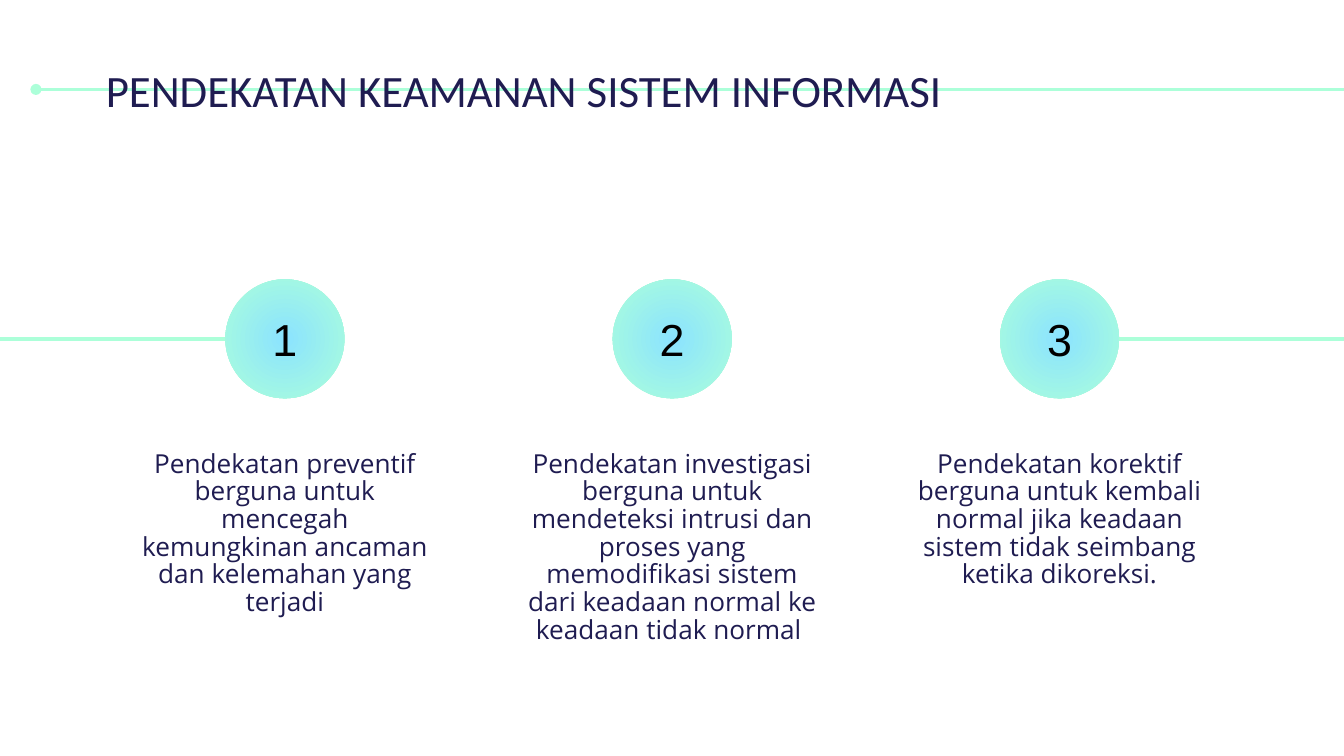
from dataclasses import dataclass

from lxml import etree
from pptx import Presentation
from pptx.dml.color import RGBColor
from pptx.enum.shapes import MSO_CONNECTOR, MSO_SHAPE
from pptx.enum.text import MSO_ANCHOR, MSO_AUTO_SIZE, PP_ALIGN
from pptx.oxml.ns import qn
from pptx.util import Cm, Pt

LEFT, CENTER = PP_ALIGN.LEFT, PP_ALIGN.CENTER
TOP, MIDDLE = MSO_ANCHOR.TOP, MSO_ANCHOR.MIDDLE
NO_AUTOFIT = MSO_AUTO_SIZE.NONE
STRAIGHT = MSO_CONNECTOR.STRAIGHT
ELLIPSE = MSO_SHAPE.OVAL
COMPARISON_LAYOUT = 4


@dataclass(frozen=True)
class Theme:
    ink: RGBColor = RGBColor(0x1F, 0x1C, 0x51)
    number: RGBColor = RGBColor(0, 0, 0)
    mint: RGBColor = RGBColor(0xAC, 0xFF, 0xD9)
    sky: RGBColor = RGBColor(0x8B, 0xE3, 0xFF)
    title_font: str = "Calibri"
    body_font: str = "Open Sans"
    number_font: str = "Arial"
    title_size: int = 24
    body_size: int = 14
    number_size: int = 24


THEME = Theme()
SLIDE_WIDTH, SLIDE_HEIGHT = 25.4, 14.29

TITLE = "PENDEKATAN KEAMANAN SISTEM INFORMASI"
STEPS = [
    "Pendekatan preventif berguna untuk mencegah kemungkinan ancaman "
    "dan kelemahan yang terjadi",
    "Pendekatan investigasi berguna untuk mendeteksi intrusi dan proses yang "
    "memodifikasi sistem dari keadaan normal ke keadaan tidak normal ",
    "Pendekatan korektif berguna untuk kembali normal jika keadaan sistem "
    "tidak seimbang ketika dikoreksi.",
]

# Step columns, in centimetres
STEP_LEFT, STEP_TOP, STEP_WIDTH, STEP_PITCH = 2.31, 5.28, 6.15, 7.32
CIRCLE = 2.25
TEXT_OFFSET, TEXT_HEIGHT = 3.0, 3.2


def place(shape, left, top, width, height):
    shape.left, shape.top = Cm(left), Cm(top)
    shape.width, shape.height = Cm(width), Cm(height)


def write(shape, text, font, size, color, alignment, anchor):
    frame = shape.text_frame
    frame.text = text
    frame.word_wrap = True
    frame.auto_size = NO_AUTOFIT
    frame.vertical_anchor = anchor
    frame.margin_left = frame.margin_right = Cm(0.25)
    frame.margin_top = frame.margin_bottom = Cm(0.25)
    paragraph = frame.paragraphs[0]
    paragraph.alignment = alignment
    paragraph.space_before = Pt(0)
    run_font = paragraph.runs[0].font
    run_font.name, run_font.size, run_font.bold = font, Pt(size), False
    run_font.color.rgb = color
    return paragraph


def add_line(slide, start, end, y, weight):
    line = slide.shapes.add_connector(STRAIGHT, Cm(start), Cm(y), Cm(end), Cm(y))
    line.line.color.rgb = THEME.mint
    line.line.width = Pt(weight)
    etree.SubElement(line.element.spPr, qn("a:effectLst"))
    return line


def add_title(slide, left, top, width, height):
    # Rule with a round start, kept behind the title
    rule = add_line(slide, left - 1.07, SLIDE_WIDTH, top + height / 2, 1.5)
    etree.SubElement(rule.line._get_or_add_ln(), qn("a:headEnd"), type="oval")
    slide.shapes.element.insert(2, rule.element)

    title = slide.shapes.title
    place(title, left, top, width, height)
    write(title, TITLE, THEME.title_font, THEME.title_size, THEME.ink, LEFT, TOP)


def fill_radial(shape, inner, outer):
    shape.fill.gradient()
    for stop, color in zip(shape.fill.gradient_stops, (inner, outer)):
        stop.color.rgb = color
    gradient = shape.element.spPr.find(qn("a:gradFill"))
    gradient.remove(gradient.find(qn("a:lin")))
    radial = etree.SubElement(gradient, qn("a:path"), path="circle")
    etree.SubElement(radial, qn("a:fillToRect"),
                     l="50000", t="50000", r="50000", b="50000")


def add_step(slide, number, text, left, top, width):
    # Numbered circle
    circle = slide.shapes.add_shape(ELLIPSE, 0, 0, 0, 0)
    place(circle, left + (width - CIRCLE) / 2, top, CIRCLE, CIRCLE)
    circle.shadow.inherit = False
    circle.line.fill.background()
    fill_radial(circle, THEME.sky, THEME.mint)
    write(circle, str(number), THEME.number_font, THEME.number_size,
          THEME.number, CENTER, MIDDLE)

    # Description
    body = slide.placeholders[number]
    place(body, left, top + TEXT_OFFSET, width, TEXT_HEIGHT)
    paragraph = write(body, text, THEME.body_font, THEME.body_size,
                      THEME.ink, CENTER, TOP)
    paragraph.line_spacing = 0.88
    paragraph.space_after = Pt(16)
    properties = paragraph._p.get_or_add_pPr()
    properties.set("marL", "0")
    properties.set("indent", "0")
    etree.SubElement(properties, qn("a:buNone"))


def add_steps(slide, left, top, width, pitch):
    for index, text in enumerate(STEPS):
        add_step(slide, index + 1, text, left + index * pitch, top, width)

    # Lines from the outer circles to the slide edges
    middle = top + CIRCLE / 2
    first_edge = left + (width - CIRCLE) / 2
    last_edge = first_edge + (len(STEPS) - 1) * pitch + CIRCLE
    add_line(slide, 0, first_edge, middle, 2.25)
    add_line(slide, last_edge, SLIDE_WIDTH, middle, 2.25)


def remove_empty_placeholders(slide):
    for placeholder in list(slide.placeholders):
        if not placeholder.text_frame.text:
            placeholder.element.getparent().remove(placeholder.element)


presentation = Presentation()
presentation.slide_width, presentation.slide_height = Cm(SLIDE_WIDTH), Cm(SLIDE_HEIGHT)
slide = presentation.slides.add_slide(presentation.slide_layouts[COMPARISON_LAYOUT])
add_title(slide, 1.75, 0.94, 19.61, 1.5)
add_steps(slide, STEP_LEFT, STEP_TOP, STEP_WIDTH, STEP_PITCH)
remove_empty_placeholders(slide)
presentation.save("out.pptx")
